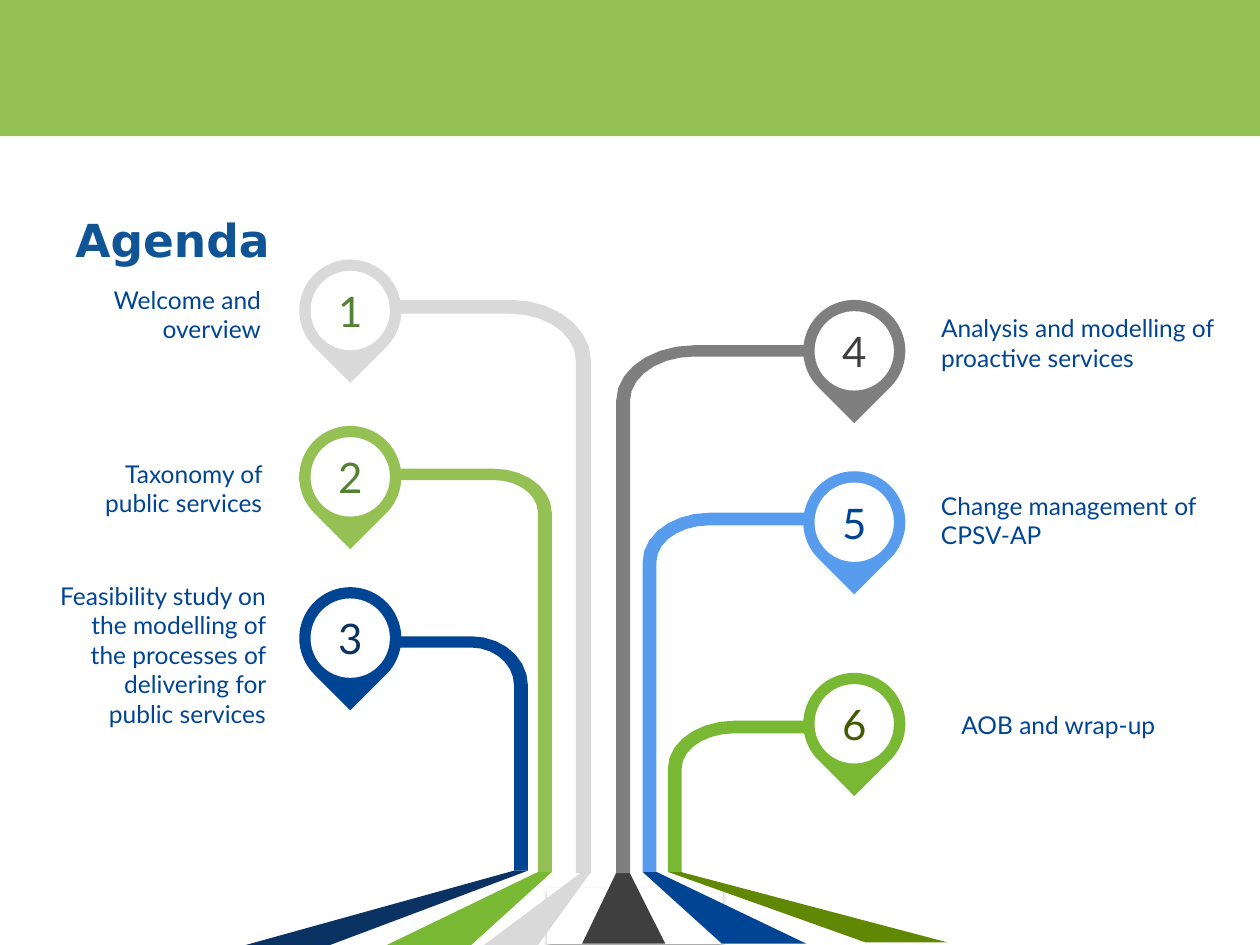
from dataclasses import dataclass
from math import asin, cos, pi, sin

from lxml.etree import SubElement
from pptx import Presentation
from pptx.dml.color import RGBColor as RGB
from pptx.enum.shapes import MSO_SHAPE as SHAPE
from pptx.enum.text import MSO_ANCHOR as ANCHOR, PP_ALIGN as ALIGN
from pptx.oxml.ns import qn
from pptx.util import Inches, Pt

Point = tuple[float, float]
Box = tuple[float, float, float, float]


@dataclass(frozen=True)
class Theme:
    white: str = "FFFFFF"
    shadow: str = "000000"
    silver: str = "D9D9D9"
    grey: str = "7F7F7F"
    charcoal: str = "3F3F3F"
    lime: str = "95C154"
    green: str = "78B832"
    olive: str = "608804"
    dark_olive: str = "405B02"
    leaf: str = "548235"
    sky: str = "589DED"
    blue: str = "004494"
    navy: str = "0A3262"
    title: str = "0F5494"
    title_font: str = "DejaVu Sans"
    body_font: str = "Lato"
    title_size: int = 26
    number_size: int = 24
    body_size: int = 14


@dataclass(frozen=True)
class Road:
    """A disc behind the pin, a band leaving it, and a bend down to the ground."""
    center: Point
    radii: Point
    band: Point      # top and bottom y of the horizontal part
    bend: Point      # x where the bend starts, y where it ends
    lane: Point      # outer and inner x of the vertical part
    ground: float


@dataclass(frozen=True)
class Item:
    text: str
    box: Box
    align: ALIGN
    pin_top: float
    color: str
    number_color: str
    road: Road
    ray: list[Point]
    ray_color: str


T = Theme()
PIN, DISC = 0.81, 0.63
PIN_LEFT, PIN_RIGHT = 2.78, 6.78

ITEMS = [
    Item("Welcome and overview", (0.32, 2.21, 1.85, 0.57), ALIGN.RIGHT, 2.06, T.silver, T.leaf,
         Road((2.72, 2.44), (0.33, 0.31), (2.38, 2.49), (4.05, 2.86), (4.69, 4.57), 6.93),
         [(4.69, 6.92), (4.27, 7.5), (3.84, 7.5), (4.62, 6.92)], T.silver),
    Item("Taxonomy of public services", (0.69, 3.5, 1.49, 0.75), ALIGN.RIGHT, 3.38, T.lime, T.leaf,
         Road((2.69, 3.78), (0.32, 0.27), (3.72, 3.81), (3.92, 4.07), (4.38, 4.27), 6.92),
         [(4.38, 6.92), (3.74, 7.5), (3.07, 7.5), (4.27, 6.92)], T.green),
    Item("Feasibility study on the modelling of the processes of delivering for public services",
         (0.36, 4.57, 1.85, 1.25), ALIGN.RIGHT, 4.66, T.blue, T.navy,
         Road((2.7, 5.1), (0.32, 0.27), (5.05, 5.14), (3.74, 5.44), (4.19, 4.08), 6.91),
         [(4.19, 6.91), (2.62, 7.5), (1.95, 7.5), (4.08, 6.91)], T.navy),
    Item("Analysis and modelling of proactive services", (7.37, 2.2, 2.72, 1.04), ALIGN.LEFT,
         2.38, T.grey, T.charcoal,
         Road((6.78, 2.79), (0.33, 0.29), (2.74, 2.83), (5.51, 3.18), (4.89, 5), 6.93),
         [(5, 6.93), (5.28, 7.49), (4.62, 7.49), (4.89, 6.93)], T.charcoal),
    Item("Change management of CPSV-AP", (7.37, 3.61, 2.47, 1.04), ALIGN.LEFT,
         3.74, T.sky, T.blue,
         Road((6.78, 4.11), (0.33, 0.3), (4.07, 4.17), (5.63, 4.46), (5.1, 5.21), 6.92),
         [(5.21, 6.92), (6.4, 7.49), (5.73, 7.49), (5.1, 6.92)], T.blue),
    Item("AOB and wrap-up", (7.35, 5.58, 2.1, 0.34), ALIGN.CENTER, 5.34, T.green, T.dark_olive,
         Road((6.78, 5.76), (0.33, 0.28), (5.72, 5.82), (5.83, 6.1), (5.3, 5.41), 6.92),
         [(5.4, 6.92), (7.52, 7.48), (6.87, 7.48), (5.3, 6.92)], T.olive),
]


def paint(sp, color: str) -> None:
    sp.shadow.inherit = False
    sp.fill.solid()
    sp.fill.fore_color.rgb = RGB.from_string(color)
    sp.line.fill.background()


def add_shape(s, kind: SHAPE, box: Box, color: str):
    sp = s.shapes.add_shape(kind, *map(Inches, box))
    paint(sp, color)
    return sp


def write(sp, text: str, size: int, color: str, align: ALIGN,
          font: str = T.body_font, bold: bool = False) -> None:
    tf = sp.text_frame
    tf.word_wrap = True
    tf.vertical_anchor = ANCHOR.MIDDLE
    p = tf.paragraphs[0]
    p.alignment = align
    r = p.add_run()
    r.text = text
    r.font.name, r.font.size, r.font.bold = font, Pt(size), bold
    r.font.color.rgb = RGB.from_string(color)


def add_polygon(s, points: list[Point], color: str) -> None:
    start, *rest = [(Inches(x), Inches(y)) for x, y in points]
    builder = s.shapes.build_freeform(*start)
    builder.add_line_segments(rest, close=True)
    paint(builder.convert_to_shape(), color)


def quarter(start: Point, end: Point, steps: int = 7) -> list[Point]:
    """Quarter ellipse that leaves start horizontally and reaches end vertically."""
    (x0, y0), (x1, y1) = start, end
    angles = [pi / 2 * i / steps for i in range(steps + 1)]
    return [(x0 + (x1 - x0) * sin(a), y1 + (y0 - y1) * cos(a)) for a in angles]


def road_outline(road: Road, steps: int = 12) -> list[Point]:
    (cx, cy), (rx, ry) = road.center, road.radii
    (top, bottom), (bend_x, bend_y), (outer, inner) = road.band, road.bend, road.lane
    side = 1 if outer > cx else -1
    first, last = asin((bottom - cy) / ry), asin((top - cy) / ry) + 2 * pi
    angles = [first + (last - first) * i / steps for i in range(steps + 1)]
    disc = [(cx + side * rx * cos(a), cy + ry * sin(a)) for a in angles]
    outer_bend = quarter((bend_x, top), (outer, bend_y))
    inner_bend = quarter((bend_x, bottom), (inner, bend_y))
    return disc + outer_bend + [(outer, road.ground), (inner, road.ground)] + inner_bend[::-1]


def add_pin(s, number: int, item: Item) -> None:
    cx = PIN_LEFT if item.road.center[0] < 5 else PIN_RIGHT
    cy = item.pin_top + PIN / 2
    drop = add_shape(s, SHAPE.TEAR, (cx - PIN / 2, item.pin_top, PIN, PIN), item.color)
    drop.rotation = 135
    disc = add_shape(s, SHAPE.OVAL, (cx - DISC / 2, cy - DISC / 2, DISC, DISC), T.white)
    write(disc, str(number), T.number_size, item.number_color, ALIGN.CENTER)


def add_ground_panel(s) -> None:
    panel = add_shape(s, SHAPE.RECTANGLE, (4.35, 7.05, 1.38, 0.44), T.white)
    panel.line.color.rgb = RGB.from_string(T.white)
    panel.line.width = Pt(0.75)
    effects = panel._element.spPr.find(qn("a:effectLst"))
    shadow = SubElement(effects, qn("a:outerShdw"), blurRad=str(Pt(3.1)), dist=str(Pt(1.8)),
                        dir="5400000", rotWithShape="0")
    color = SubElement(shadow, qn("a:srgbClr"), val=T.shadow)
    SubElement(color, qn("a:alpha"), val="35000")


def main() -> None:
    prs = Presentation()
    prs.slide_width, prs.slide_height = Inches(10), Inches(7.5)
    s = prs.slides.add_slide(prs.slide_layouts[6])

    add_shape(s, SHAPE.RECTANGLE, (0, 0, 10, 1.08), T.lime)
    add_ground_panel(s)
    title = s.shapes.add_textbox(*map(Inches, (0.5, 1.39, 9, 1.02)))
    write(title, "Agenda", T.title_size, T.title, ALIGN.LEFT, T.title_font, bold=True)

    for number, item in enumerate(ITEMS, 1):
        add_polygon(s, item.ray, item.ray_color)
        add_polygon(s, road_outline(item.road), item.color)
        add_pin(s, number, item)
        label = s.shapes.add_textbox(*map(Inches, item.box))
        write(label, item.text, T.body_size, T.blue, item.align)

    prs.save("out.pptx")


if __name__ == "__main__":
    main()
